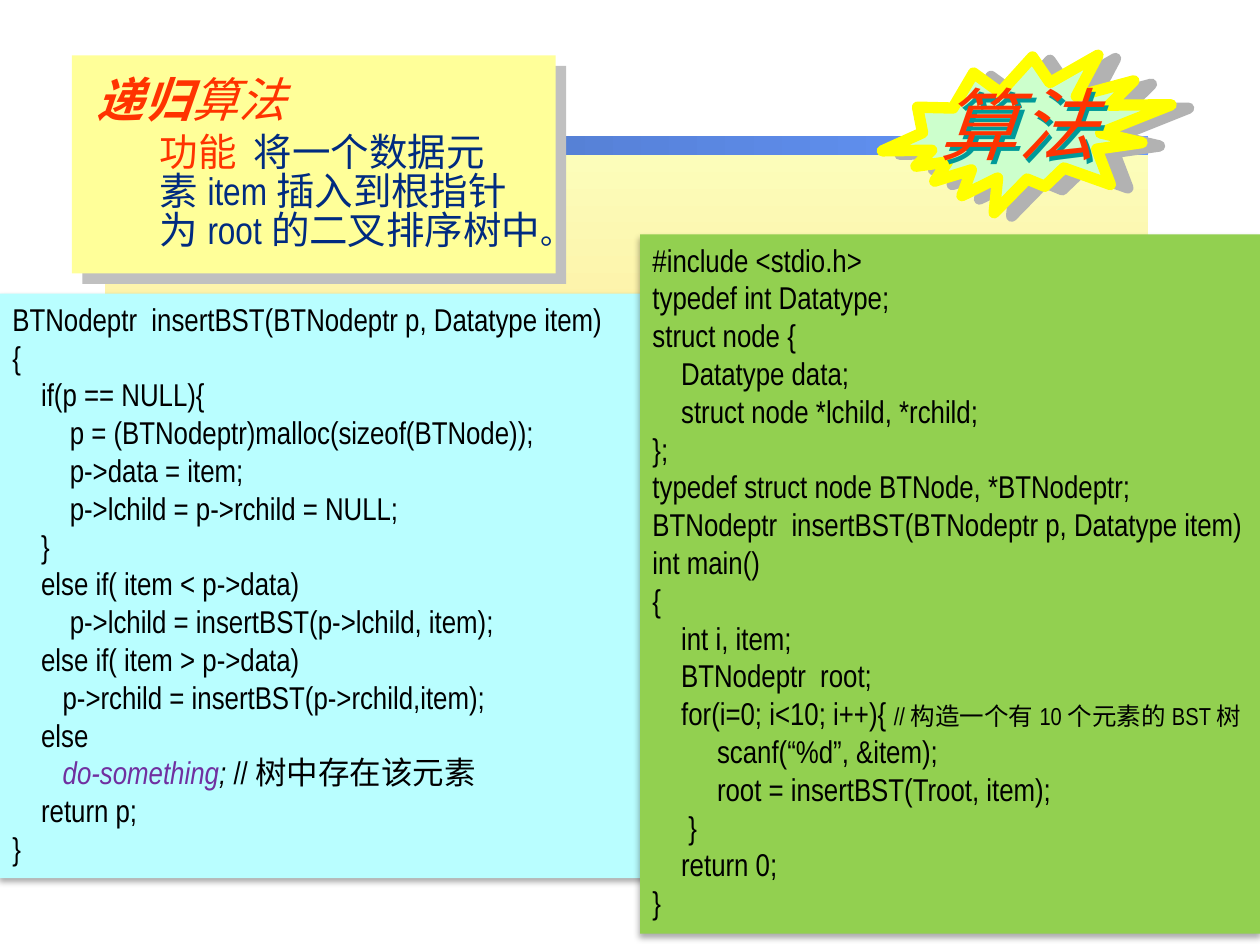
from lxml.etree import SubElement
from pptx import Presentation
from pptx.dml.color import RGBColor
from pptx.enum.shapes import MSO_SHAPE as Shape
from pptx.enum.text import MSO_ANCHOR as Anchor, MSO_AUTO_SIZE as AutoSize
from pptx.oxml.ns import qn
from pptx.util import Inches, Pt

THEME = {
    "latin": "Arial Narrow", "cjk": "Noto Sans CJK SC",
    "red": "FF3300", "navy": "002B80", "black": "000000", "purple": "7030A0",
    "note": "FFFF99", "insert": "B9FEFF", "main": "92D050",
    "burst": "CCFFCC", "burst_edge": "FFFF00",
    "panel": ("FCFEBC", "FFCC66"), "rule": ("496DB6", "6699FF"),
    "badge_size": 45, "title_size": 27, "purpose_size": 22, "code_size": 18, "comment_size": 14,
}
SHADOWS = {
    "note": ("C0C0C0", 100, 0, 8.5, 45),
    "burst": ("B2B2B2", 100, 0, 10.2, 11),
    "badge": ("009999", 100, 0, 3, 45),
    "code": ("000000", 32, 3.5, 2.2, 90),
}

TITLE = [[("递归", {"bold": True}), ("算法", {})]]
CJK = {"font": THEME["cjk"]}
PURPOSE = [
    [("功能  ", {"color": THEME["red"], **CJK}), ("将一个数据元", CJK)],
    [("素", CJK), ("item", {}), ("插入到根指针", CJK)],
    [("为", CJK), ("root", {}), ("的二叉排序树中", CJK), ("。", {"size": 18, **CJK})],
]
BADGE = ["算法"]
INSERT_CODE = [
    "BTNodeptr  insertBST(BTNodeptr p, Datatype item)",
    "{",
    "    if(p == NULL){",
    "        p = (BTNodeptr)malloc(sizeof(BTNode));",
    "        p->data = item;",
    "        p->lchild = p->rchild = NULL;",
    "    }",
    "    else if( item < p->data)",
    "        p->lchild = insertBST(p->lchild, item);",
    "    else if( item > p->data)",
    "       p->rchild = insertBST(p->rchild,item);",
    "    else",
    [("       ", {}), ("do-something", {"color": THEME["purple"], "italic": True}),
     (";", {"italic": True}), (" //树中存在该元素", {})],
    "    return p;",
    "}",
]
MAIN_CODE = [
    "#include <stdio.h>",
    "typedef int Datatype;",
    "struct node {",
    "    Datatype data;",
    "    struct node *lchild, *rchild;",
    "};",
    "typedef struct node BTNode, *BTNodeptr;",
    "BTNodeptr  insertBST(BTNodeptr p, Datatype item)",
    "int main()",
    "{",
    "    int i, item;",
    "    BTNodeptr  root;",
    [("    for(i=0; i<10; i++){ ", {}),
     ("//构造一个有10个元素的BST树", {"size": THEME["comment_size"]})],
    "         scanf(“%d”, &item);",
    "         root = insertBST(Troot, item);",
    "     }",
    "    return 0;",
    "}",
]


def add_shadow(target, color, alpha, blur, distance, angle):
    """Give a shape an outer shadow."""
    effects = target._element.spPr.find(qn("a:effectLst"))
    if effects is None:
        effects = SubElement(target._element.spPr, qn("a:effectLst"))
    outer = SubElement(effects, qn("a:outerShdw"), blurRad=str(Pt(blur)), dist=str(Pt(distance)),
                       dir=str(angle * 60000), algn="ctr", rotWithShape="0")
    tint = SubElement(outer, qn("a:srgbClr"), val=color)
    SubElement(tint, qn("a:alpha"), val=str(alpha * 1000))


def add_block(slide, box, fill, kind=Shape.RECTANGLE, edge=None, shadow=None, rotation=0):
    """Draw a filled shape, with a gradient when fill is a pair of colours."""
    block = slide.shapes.add_shape(kind, *map(Inches, box))
    block.rotation = rotation
    if isinstance(fill, tuple):
        block.fill.gradient()
        block.fill.gradient_angle = 0 if box[2] > 10 * box[3] else 270
        for stop, color in zip(block.fill.gradient_stops, fill):
            stop.color.rgb = RGBColor.from_string(color)
    else:
        block.fill.solid()
        block.fill.fore_color.rgb = RGBColor.from_string(fill)
    if edge:
        block.line.color.rgb = RGBColor.from_string(edge)
        block.line.width = Pt(6.5)
    else:
        block.line.fill.background()
    block.shadow.inherit = False
    if shadow:
        add_shadow(block, *SHADOWS[shadow])
    return block


def write(holder, paragraphs, size, color, spacing=None, italic=False, anchor=Anchor.TOP):
    """Fill a shape with paragraphs of plain or mixed runs."""
    frame = holder.text_frame
    frame.word_wrap = True
    frame.auto_size = AutoSize.SHAPE_TO_FIT_TEXT
    frame.vertical_anchor = anchor
    base = {"size": size, "color": color, "italic": italic, "bold": False, "font": THEME["latin"]}
    for index, content in enumerate(paragraphs):
        paragraph = frame.add_paragraph() if index else frame.paragraphs[0]
        paragraph.alignment = 1
        if spacing:
            paragraph.line_spacing = spacing
        for text, changes in [(content, {})] if isinstance(content, str) else content:
            style = {**base, **changes}
            run = paragraph.add_run()
            run.text = text
            run.font.size = Pt(style["size"])
            run.font.bold, run.font.italic = style["bold"], style["italic"]
            run.font.color.rgb = RGBColor.from_string(style["color"])
            run.font.name = style["font"]
            SubElement(run.font._element, qn("a:ea"), typeface=THEME["cjk"])


def main():
    """Build the slide on recursive insertion into a binary search tree."""
    deck = Presentation()
    deck.slide_width, deck.slide_height = Inches(10), Inches(7.5)
    slide = deck.slides.add_slide(deck.slide_layouts[6])

    add_block(slide, (0.83, 1.1, 8.28, 5.72), THEME["panel"])
    add_block(slide, (0.84, 1.08, 8.27, 0.15), THEME["rule"])

    add_block(slide, (0.57, 0.44, 3.84, 1.73), THEME["note"], shadow="note")
    title = slide.shapes.add_textbox(*map(Inches, (0.67, 0.51, 2.69, 0.55)))
    write(title, TITLE, THEME["title_size"], THEME["red"], italic=True)
    purpose = slide.shapes.add_textbox(*map(Inches, (1.17, 1.02, 3.99, 1.06)))
    write(purpose, PURPOSE, THEME["purpose_size"], THEME["navy"], spacing=0.85)

    add_block(slide, (7.55, -0.06, 1.24, 2.25), THEME["burst"], Shape.EXPLOSION2,
              edge=THEME["burst_edge"], shadow="burst", rotation=66.8)
    badge = slide.shapes.add_textbox(*map(Inches, (7.35, 0.55, 1.92, 0.85)))
    write(badge, BADGE, THEME["badge_size"], THEME["red"], italic=True, anchor=Anchor.MIDDLE)
    add_shadow(badge, *SHADOWS["badge"])

    for code, box, fill in (
        (INSERT_CODE, (0, 2.33, 5.71, 4.64), THEME["insert"]),
        (MAIN_CODE, (5.08, 1.86, 4.92, 5.55), THEME["main"]),
    ):
        write(add_block(slide, box, fill, shadow="code"), code, THEME["code_size"], THEME["black"])

    deck.save("out.pptx")


if __name__ == "__main__":
    main()
